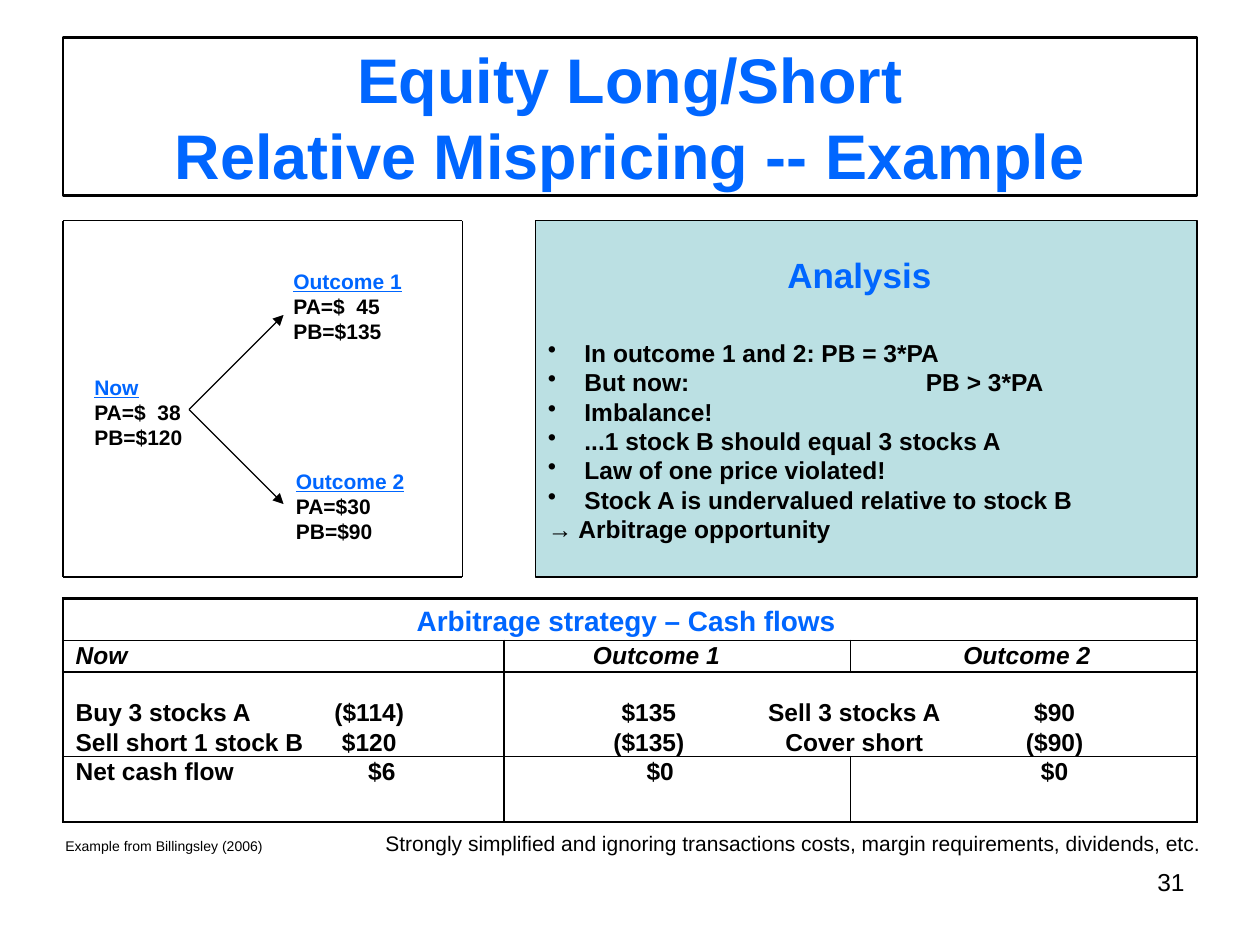
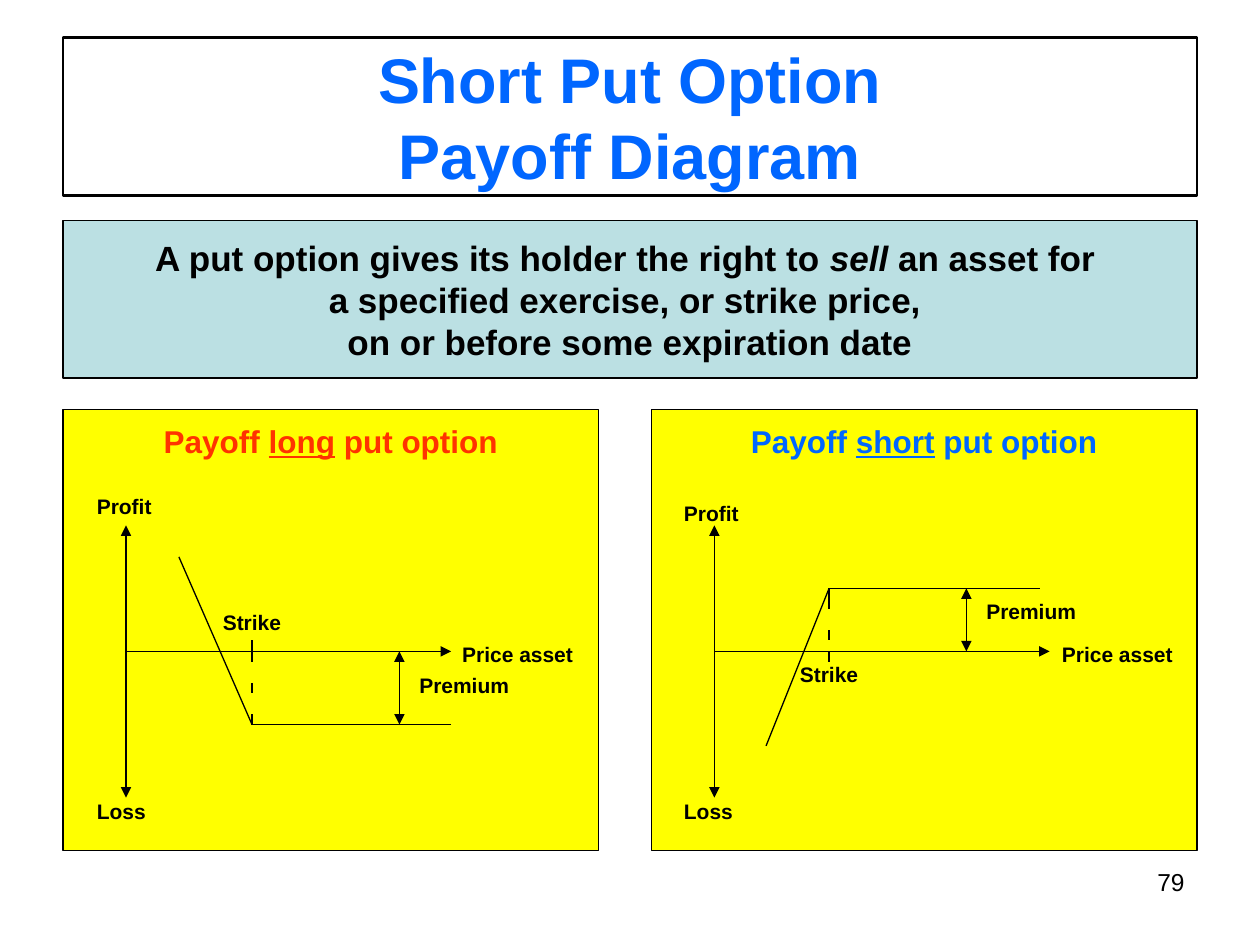
"""Build two slides on a relative mispricing example and put option payoffs."""
from itertools import pairwise

from lxml import etree
from pptx import Presentation, util as u
from pptx.dml.color import RGBColor
from pptx.enum import shapes, text
from pptx.oxml.ns import qn

FONT = "Arial"
BLACK, BLUE, RED = "000000", "0066FF", "FF3300"
TEAL, YELLOW = "BBE0E3", "FFFF00"
LEFT, CENTER, RIGHT = text.PP_ALIGN.LEFT, text.PP_ALIGN.CENTER, text.PP_ALIGN.RIGHT
TOP, MIDDLE, BOTTOM = text.MSO_ANCHOR.TOP, text.MSO_ANCHOR.MIDDLE, text.MSO_ANCHOR.BOTTOM

MISPRICING_TITLE = ["Equity Long/Short", "Relative Mispricing -- Example"]
STATES = [
    ((0.65, 2.92), "Now", ["PA=$  38", "PB=$120"]),
    ((2.23, 2.08), "Outcome 1", ["PA=$  45", "PB=$135"]),
    ((2.25, 3.67), "Outcome 2", ["PA=$30", "PB=$90"]),
]
STATES_OUTLINE = [(0.5, 1.75), (0.5, 4.58), (3.67, 4.58), (3.67, 1.75), (0.5, 1.75)]
BRANCH_START, BRANCH_ENDS = (1.5, 3.25), [(2.25, 2.5), (2.25, 4)]
FINDINGS = [
    "In outcome 1 and 2: PB = 3*PA",
    "But now:\tPB > 3*PA",
    "Imbalance!",
    "...1 stock B should equal 3 stocks A",
    "Law of one price violated!",
    "Stock A is undervalued relative to stock B",
]
CONCLUSION = "→ Arbitrage opportunity"

COLUMN_EDGES = [0.5, 2.5, 4, 6, 6.75, 7.75, 9.5]
ROW_EDGES = [4.75, 5.08, 5.33, 6, 6.52]
INNER_RULES = {(1, 2), (2, 2), (3, 2), (1, 4), (3, 4)}
# Each entry: row, first column, last column, lines, centre of the text (None: left)
CASH_FLOWS = [
    (0, 0, 5, ["Arbitrage strategy – Cash flows"], 4.97),
    (1, 0, 1, ["Now"], None),
    (1, 2, 3, ["Outcome 1"], 5.21),
    (1, 4, 5, ["Outcome 2"], 8.15),
    (2, 0, 0, ["Buy 3 stocks A", "Sell short 1 stock B"], None),
    (2, 1, 1, ["($114)", "$120"], 2.93),
    (2, 2, 2, ["$135", "($135)"], 5.15),
    (2, 3, 4, ["Sell 3 stocks A", "Cover short"], 6.78),
    (2, 5, 5, ["$90", "($90)"], 8.37),
    (3, 0, 0, ["Net cash flow"], None),
    (3, 1, 1, ["$6"], 3.03),
    (3, 2, 3, ["$0"], 5.24),
    (3, 4, 5, ["$0"], 8.37),
]
FOOTNOTE = [("Example from Billingsley (2006)", {"size": 8}),
            ("\tStrongly simplified and ignoring transactions costs, margin requirements, dividends, etc.", {})]

PUT_TITLE = ["Short Put Option", "Payoff Diagram"]
PUT_DEFINITION = [
    [("A put option gives its holder the right to ", {}), ("sell", {"italic": True}), (" an asset for ", {})],
    "a specified exercise, or strike price, ",
    "on or before some expiration date",
]
PRICE_Y, PROFIT_Y, LOSS_Y = 5.17, 4.17, 6.33
PAYOFFS = [
    {"side": "long", "color": RED, "panel": (0.5, 4.25), "axis": (1, 3.58),
     "payoff": [(3.58, 5.75), (2, 5.75), (1.42, 4.42)],
     "strike": (2, [(5.08, 5.25), (5.42, 5.5), (5.67, 5.75)]),
     "premium": (3.17, 5.75),
     "labels": {"Profit": (0.67, 3.87), "Loss": (0.67, 6.29), "Price asset": (3.57, 5.04),
                "Strike": (1.67, 4.79), "Premium": (3.23, 5.29)}},
    {"side": "short", "color": BLUE, "panel": (5.17, 4.33), "axis": (5.67, 8.33),
     "payoff": [(8.25, 4.67), (6.58, 4.67), (6.08, 5.92)],
     "strike": (6.58, [(4.67, 4.83), (5, 5.08), (5.17, 5.25)]),
     "premium": (7.67, 4.67),
     "labels": {"Profit": (5.33, 3.92), "Loss": (5.33, 6.29), "Price asset": (8.33, 5.04),
                "Strike": (6.25, 5.2), "Premium": (7.73, 4.7)}},
]


def rgb(color):
    return RGBColor.from_string(color)


def style(font, size=None, color=None, **flags):
    if size:
        font.name, font.size = FONT, u.Pt(size)
    if color:
        font.color.rgb = rgb(color)
    for flag, value in flags.items():
        setattr(font, flag, value)


def write(frame, lines, size, color=BLACK, align=LEFT, **flags):
    """Write each line, a string or a list of (words, font changes), as a paragraph."""
    for number, line in enumerate(lines):
        paragraph = frame.add_paragraph() if number else frame.paragraphs[0]
        style(paragraph.font, size, color, **flags)
        paragraph.alignment = align
        for words, changes in [(line, {})] if isinstance(line, str) else line:
            run = paragraph.add_run()
            run.text = words
            style(run.font, **changes)
    return frame.paragraphs


def box(slide, left, top, width, height, fill=None, weight=0.75, anchor=MIDDLE):
    shape = slide.shapes.add_shape(
        shapes.MSO_SHAPE.RECTANGLE, *map(u.Inches, (left, top, width, height)))
    shape.shadow.inherit = False
    if fill:
        shape.fill.solid()
        shape.fill.fore_color.rgb = rgb(fill)
    else:
        shape.fill.background()
    shape.line.color.rgb = rgb(BLACK)
    shape.line.width = u.Pt(weight)
    shape.text_frame.word_wrap = True
    shape.text_frame.vertical_anchor = anchor
    return shape.text_frame


def label(slide, left, top, width, height, lines, size, **options):
    frame = slide.shapes.add_textbox(*map(u.Inches, (left, top, width, height))).text_frame
    frame.word_wrap = True
    return write(frame, lines, size, **options)


def line(slide, start, end, *arrowheads):
    """Draw a thin line; arrowheads may name headEnd and tailEnd."""
    connector = slide.shapes.add_connector(
        shapes.MSO_CONNECTOR.STRAIGHT, *map(u.Inches, (*start, *end)))
    connector.line.color.rgb = rgb(BLACK)
    connector.line.width = u.Pt(0.75)
    stroke = connector.line._get_or_add_ln()
    for end_name in arrowheads:
        etree.SubElement(stroke, qn(f"a:{end_name}"), type="triangle")
    etree.SubElement(connector._element.spPr, qn("a:effectLst"))


def indent(paragraph, inches, hanging=False, tab=None):
    """Indent a paragraph, with a hanging bullet or a tab stop if asked."""
    properties = paragraph._p.get_or_add_pPr()
    properties.set("marL", str(u.Inches(inches)))
    if hanging:
        properties.set("indent", str(-u.Inches(inches)))
        etree.SubElement(properties, qn("a:buChar"), char="•")
    if tab:
        stops = etree.SubElement(properties, qn("a:tabLst"))
        etree.SubElement(stops, qn("a:tab"), pos=str(u.Inches(tab)), algn="l")
    properties.append(properties.find(qn("a:defRPr")))


def borders(cell, weights):
    """Set the left, right, top and bottom borders of a cell."""
    properties = cell._tc.get_or_add_tcPr()
    for place, (side, weight) in enumerate(zip("LRTB", weights)):
        stroke = etree.Element(qn(f"a:ln{side}"), w=str(u.Pt(weight)))
        if weight:
            solid = etree.SubElement(stroke, qn("a:solidFill"))
            etree.SubElement(solid, qn("a:srgbClr"), val=BLACK)
        else:
            etree.SubElement(stroke, qn("a:noFill"))
        properties.insert(place, stroke)


def cash_flow_table(slide):
    columns, rows = len(COLUMN_EDGES) - 1, len(ROW_EDGES) - 1
    left, top = COLUMN_EDGES[0], ROW_EDGES[0]
    table = slide.shapes.add_table(
        rows, columns, u.Inches(left), u.Inches(top),
        u.Inches(COLUMN_EDGES[-1] - left), u.Inches(ROW_EDGES[-1] - top)).table
    table.first_row = table.horz_banding = False
    for column, (start, end) in zip(table.columns, pairwise(COLUMN_EDGES)):
        column.width = u.Inches(end - start)
    for row, (start, end) in zip(table.rows, pairwise(ROW_EDGES)):
        row.height = u.Inches(end - start)

    def upright(row, edge):
        return 1.5 if edge in (0, columns) else 0.75 * ((row, edge) in INNER_RULES)

    def level(edge):
        return 1.5 if edge in (0, rows) else 0.75

    for row, first, last, lines, centre in CASH_FLOWS:
        for column in range(first, last + 1):
            cell = table.cell(row, column)
            cell.fill.background()
            cell.margin_top = cell.margin_bottom = 0
            style(cell.text_frame.paragraphs[0].font, 8)
            right_edge = last + 1 if column == first else column + 1
            borders(cell, (upright(row, column), upright(row, right_edge), level(row), level(row + 1)))
        cell = table.cell(row, first)
        if last > first:
            cell.merge(table.cell(row, last))
        cell.vertical_anchor = TOP if row == rows - 1 else BOTTOM
        if row < 2:
            cell.margin_bottom = u.Inches(0.02)
        shift = 0
        if centre:
            shift = 2 * centre - COLUMN_EDGES[first] - COLUMN_EDGES[last + 1]
        cell.margin_left = u.Inches(max(0, shift) if centre else 0.1)
        cell.margin_right = u.Inches(max(0, -shift))
        paragraphs = write(cell.text_frame, lines, 14 if row else 16, BLACK if row else BLUE,
                           CENTER if centre else LEFT, bold=True, italic=row == 1)
        if row > 1:
            for paragraph in paragraphs:
                paragraph.line_spacing = 1.07


def new_slide(deck, title, number):
    slide = deck.slides.add_slide(deck.slide_layouts[6])
    label(slide, 7.17, 6.83, 2.33, 0.52, [number], 14, align=RIGHT)
    write(box(slide, 0.5, 0.3, 9, 1.25, weight=1.5), title, 36, BLUE, CENTER, bold=True)
    return slide


def mispricing_slide(deck):
    slide = new_slide(deck, MISPRICING_TITLE, "31")
    for (left, top), state, prices in STATES:
        heading = [(state, {"color": BLUE, "underline": True})]
        label(slide, left, top, 1.25, 0.7, [heading, *prices], 12, bold=True)
    for end in BRANCH_ENDS:
        line(slide, BRANCH_START, end, "tailEnd")
    for start, end in pairwise(STATES_OUTLINE):
        line(slide, start, end)

    analysis = box(slide, 4.25, 1.75, 5.25, 2.83, TEAL)
    heading = [("Analysis", {"size": 20, "color": BLUE})]
    paragraphs = write(analysis, [heading, *FINDINGS, CONCLUSION], 14, bold=True)
    paragraphs[0].space_after = u.Pt(24)
    indent(paragraphs[0], 1.9)
    for paragraph, finding in zip(paragraphs[1:], FINDINGS):
        indent(paragraph, 0.29, hanging=True, tab=3 if "\t" in finding else None)

    cash_flow_table(slide)
    footnote = label(slide, 0.42, 6.54, 9.5, 0.3, [FOOTNOTE], 12)[0]
    indent(footnote, 0, tab=2.54)


def put_slide(deck):
    slide = new_slide(deck, PUT_TITLE, "79")
    write(box(slide, 0.5, 1.75, 9, 1.25, TEAL), PUT_DEFINITION, 20, align=CENTER, bold=True)
    for option in PAYOFFS:
        left, width = option["panel"]
        panel = box(slide, left, 3.25, width, 3.5, YELLOW, anchor=TOP)
        panel.margin_top = u.Inches(0.1)
        heading = [("Payoff ", {}), (option["side"], {"underline": True}), (" put option", {})]
        write(panel, [heading], 18, option["color"], CENTER, bold=True)

        axis, price_end = option["axis"]
        line(slide, (axis, PRICE_Y), (price_end, PRICE_Y), "tailEnd")
        line(slide, (axis, PROFIT_Y), (axis, LOSS_Y), "headEnd", "tailEnd")
        for start, end in pairwise(option["payoff"]):
            line(slide, start, end)
        strike, dashes = option["strike"]
        for start, end in dashes:
            line(slide, (strike, start), (strike, end))
        premium, level = option["premium"]
        line(slide, (premium, PRICE_Y), (premium, level), "headEnd", "tailEnd")
        for words, (x, y) in option["labels"].items():
            label(slide, x, y, 1.2, 0.3, [words], 12, bold=True)


def main():
    deck = Presentation()
    deck.slide_width, deck.slide_height = u.Inches(10), u.Inches(7.5)
    mispricing_slide(deck)
    put_slide(deck)
    deck.save("out.pptx")


if __name__ == "__main__":
    main()
